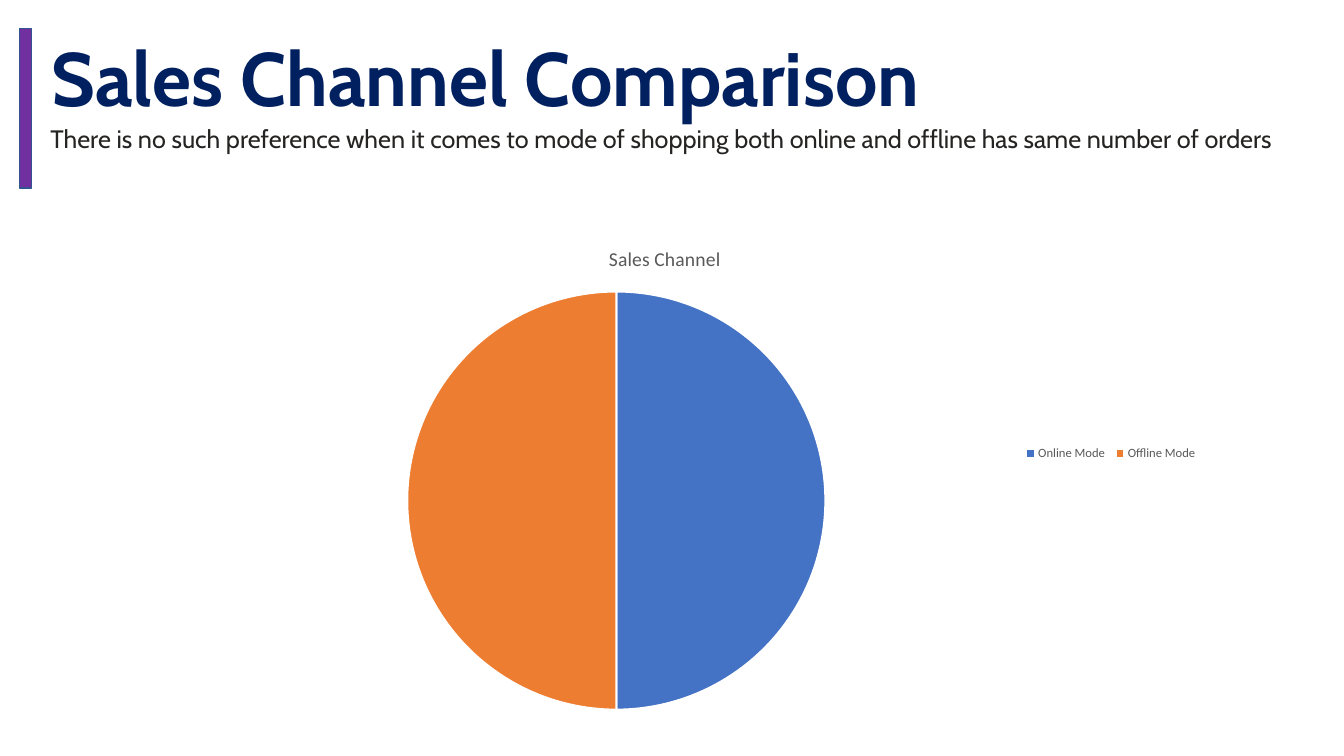
from dataclasses import dataclass

from lxml.etree import SubElement
from pptx import Presentation
from pptx.chart.chart import Chart
from pptx.chart.data import CategoryChartData
from pptx.dml.color import RGBColor
from pptx.enum.chart import XL_CHART_TYPE, XL_LEGEND_POSITION
from pptx.enum.shapes import MSO_SHAPE
from pptx.enum.text import MSO_ANCHOR, PP_ALIGN
from pptx.oxml.ns import qn
from pptx.slide import Slide
from pptx.text.text import TextFrame
from pptx.util import Pt

NAVY = RGBColor(0x00, 0x20, 0x60)
INK = RGBColor(0x25, 0x24, 0x23)
PURPLE = RGBColor(0x70, 0x30, 0xA0)
EDGE = RGBColor(0x32, 0x54, 0x91)
BLUE = RGBColor(0x44, 0x72, 0xC4)
ORANGE = RGBColor(0xED, 0x7D, 0x31)
GREY = RGBColor(0x59, 0x59, 0x59)
WHITE = RGBColor(0xFF, 0xFF, 0xFF)


@dataclass
class Box:
    left: float
    top: float
    width: float
    height: float

    def points(self) -> tuple[Pt, Pt, Pt, Pt]:
        return Pt(self.left), Pt(self.top), Pt(self.width), Pt(self.height)


@dataclass
class Head:
    slot: int
    text: str
    box: Box
    size: float
    color: RGBColor
    bold: bool


@dataclass
class Slice:
    label: str
    value: int
    color: RGBColor


HEADS = [
    Head(0, "Sales Channel Comparison", Box(36.72, 22.32, 902.16, 65.52), 54, NAVY, True),
    Head(1, "There is no such preference when it comes to mode of shopping "
            "both online and offline has same number of orders",
         Box(36, 87.84, 881.28, 43.92), 18, INK, False),
]
SLICES = [Slice("Online Mode", 50, BLUE), Slice("Offline Mode", 50, ORANGE)]
BAR = Box(-59.04, 59.04, 154.8, 36.72)
CHART = Box(90.72, 162, 768.24, 355.68)
PIE = Box(0.26, 0.13, 0.39, 0.84)
KEY = Box(0.83, 0.42, 0.17, 0.07)


def write(frame: TextFrame, text: str, *, size: float, color: RGBColor,
          font: str = "Cabin", bold: bool = False,
          align: PP_ALIGN = PP_ALIGN.LEFT) -> None:
    line = frame.paragraphs[0]
    line.alignment = align
    line.space_before = Pt(0)
    run = line.add_run()
    run.text = text
    run.font.name = font
    run.font.size = Pt(size)
    run.font.bold = bold
    run.font.color.rgb = color


def add_head(slide: Slide, head: Head) -> None:
    shape = slide.placeholders[head.slot]
    shape.left, shape.top, shape.width, shape.height = head.box.points()
    frame = shape.text_frame
    frame.margin_left = frame.margin_right = Pt(0)
    frame.margin_top = frame.margin_bottom = Pt(0)
    frame.vertical_anchor = MSO_ANCHOR.TOP
    frame.word_wrap = True
    write(frame, head.text, size=head.size, color=head.color, bold=head.bold)


def add_bar(slide: Slide) -> None:
    bar = slide.shapes.add_shape(MSO_SHAPE.MATH_MINUS, *BAR.points())
    bar.rotation = 90
    bar.shadow.inherit = False
    bar.fill.solid()
    bar.fill.fore_color.rgb = PURPLE
    bar.line.color.rgb = EDGE
    bar.line.width = Pt(1)


def place(chart: Chart, part: str, box: Box, inner: bool = False) -> None:
    host = chart.element.find(f".//{qn(part)}")
    for old in host.findall(qn("c:layout")):
        host.remove(old)
    layout = SubElement(host, qn("c:layout"))
    host.insert(0 if inner else 1, layout)
    manual = SubElement(layout, qn("c:manualLayout"))
    rules = [("layoutTarget", "inner")] if inner else []
    rules += [("xMode", "edge"), ("yMode", "edge"), ("x", box.left),
              ("y", box.top), ("w", box.width), ("h", box.height)]
    for tag, value in rules:
        SubElement(manual, qn(f"c:{tag}")).set("val", str(value))


def add_pie(slide: Slide) -> None:
    data = CategoryChartData()
    data.categories = [part.label for part in SLICES]
    data.add_series("Series 1", [part.value for part in SLICES])
    chart = slide.shapes.add_chart(XL_CHART_TYPE.PIE, *CHART.points(), data).chart
    chart.font.name = "Calibri"
    chart.font.size = Pt(10)
    chart.has_title = True
    write(chart.chart_title.text_frame, "Sales Channel", size=14, color=GREY,
          font="Calibri", align=PP_ALIGN.CENTER)
    chart.has_legend = True
    legend = chart.legend
    legend.position = XL_LEGEND_POSITION.RIGHT
    legend.include_in_layout = False
    legend.font.name = "Calibri"
    legend.font.size = Pt(9)
    legend.font.color.rgb = GREY
    plot = chart.plots[0]
    plot.vary_by_categories = True
    for spot, part in enumerate(SLICES):
        style = plot.series[0].points[spot].format
        style.fill.solid()
        style.fill.fore_color.rgb = part.color
        style.line.color.rgb = WHITE
        style.line.width = Pt(1.5)
    place(chart, "c:plotArea", PIE, inner=True)
    place(chart, "c:legend", KEY)


def main() -> None:
    deck = Presentation()
    deck.slide_width, deck.slide_height = Pt(960), Pt(540)
    slide = deck.slides.add_slide(deck.slide_layouts[0])
    for head in HEADS:
        add_head(slide, head)
    add_bar(slide)
    add_pie(slide)
    deck.save("out.pptx")


if __name__ == "__main__":
    main()
